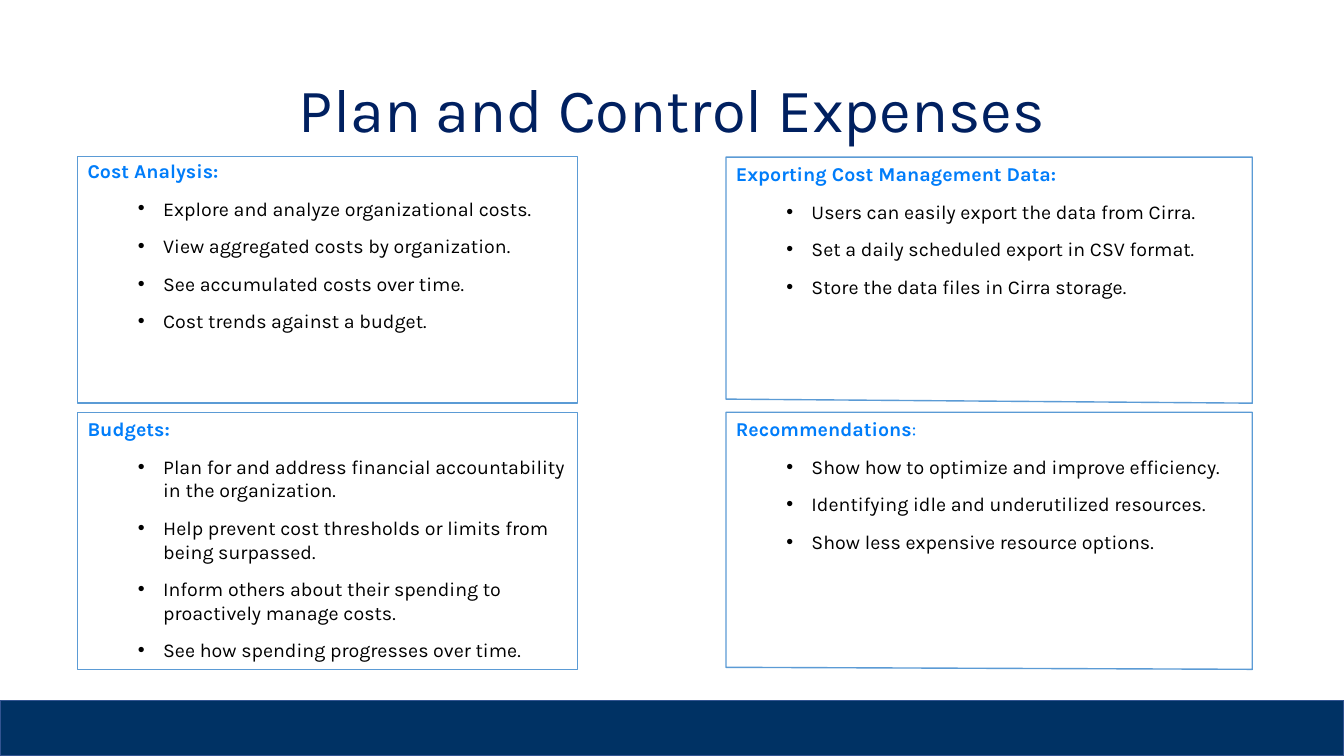
from pptx import Presentation
from pptx.dml.color import RGBColor as RGB
from pptx.enum.shapes import MSO_SHAPE as SHAPE
from pptx.enum.text import MSO_ANCHOR as ANCHOR, PP_ALIGN as ALIGN
from pptx.oxml.ns import qn
from pptx.util import Inches, Pt
from lxml.etree import SubElement

THEME = dict(
    font="Karla", title=44, body=14,
    navy="002060", band="003264", rim="325491",
    head="007DFA", ink="000000", edge="5B9BD5", paper="FFFFFF",
)

deck = Presentation()
deck.slide_width, deck.slide_height = Inches(13.33), Inches(7.5)
slide = deck.slides.add_slide(deck.slide_layouts[6])
shapes = slide.shapes


def write(frame, text, size=THEME["body"], color="ink", bold=False,
          bullet=False, align=ALIGN.LEFT, lead=None, tail=""):
    """Fill the first empty paragraph or add one; tail is never bold."""
    first = not frame.paragraphs[0].runs
    para = frame.paragraphs[0] if first else frame.add_paragraph()
    if bullet:
        props = para._p.get_or_add_pPr()
        props.set("marL", str(Inches(0.75)))
        props.set("indent", str(Inches(-0.25)))
        SubElement(props, qn("a:buFont"), typeface="Arial")
        SubElement(props, qn("a:buChar"), char="•")
        para.level = 1
    para.alignment = align
    para.line_spacing = lead
    if not first:
        para.space_before = Pt(10)
    for part, heavy in ((text, bold), (tail, False)):
        if part:
            run = para.add_run()
            run.text = part
            run.font.name, run.font.size = THEME["font"], Pt(size)
            run.font.bold = heavy
            run.font.color.rgb = RGB.from_string(THEME[color])


def paint(shape, fill, line):
    shape.shadow.inherit = False
    shape.fill.solid()
    shape.fill.fore_color.rgb = RGB.from_string(THEME[fill])
    shape.line.color.rgb = RGB.from_string(THEME[line])
    shape.line.width = Pt(1)


# Footer band
band = shapes.add_shape(SHAPE.RECTANGLE, 0, Inches(6.95),
                        deck.slide_width, Inches(0.55))
paint(band, "band", "rim")

# Title
title = shapes.add_textbox(Inches(0.92), Inches(0.39), Inches(11.5), Inches(1.45))
title.text_frame.word_wrap = True
title.text_frame.vertical_anchor = ANCHOR.MIDDLE
write(title.text_frame, "Plan and Control Expenses", size=THEME["title"],
      color="navy", align=ALIGN.CENTER, lead=0.9)

# Panels: column, top, height, rise of the lower left corner, heading, points
COLS = ((0.77, 4.96), (7.2, 5.22))
PANELS = (
    (0, 1.55, 2.45, 0, "Cost Analysis:", "", 0.9, (
        "Explore and analyze organizational costs.",
        "View aggregated costs by organization.",
        "See accumulated costs over time.",
        "Cost trends against a budget.")),
    (1, 1.56, 2.44, 0.04, "Exporting Cost Management Data:", "", None, (
        "Users can easily export the data from Cirra.",
        "Set a daily scheduled export in CSV format.",
        "Store the data files in Cirra storage.")),
    (0, 4.09, 2.55, 0, "Budgets:", "", None, (
        "Plan for and address financial accountability in the organization.",
        "Help prevent cost thresholds or limits from being surpassed.",
        "Inform others about their spending to proactively manage costs.",
        "See how spending progresses over time.")),
    (1, 4.09, 2.55, 0.02, "Recommendations", ":", None, (
        "Show how to optimize and improve efficiency.",
        "Identifying idle and underutilized resources.",
        "Show less expensive resource options.")),
)
for col, top, high, rise, head, tail, lead, points in PANELS:
    left, wide = COLS[col]
    if rise:
        right, base = left + wide, top + high
        pen = shapes.build_freeform(Inches(left), Inches(top))
        pen.add_line_segments([(Inches(x), Inches(y)) for x, y in (
            (right, top), (right, base), (left, base - rise))], close=True)
        panel = pen.convert_to_shape()
    else:
        panel = shapes.add_shape(SHAPE.RECTANGLE, Inches(left), Inches(top),
                                 Inches(wide), Inches(high))
    paint(panel, "paper", "edge")
    frame = panel.text_frame
    frame.word_wrap = True
    frame.vertical_anchor = ANCHOR.TOP
    write(frame, head, color="head", bold=True, lead=lead, tail=tail)
    for point in points:
        write(frame, point, bullet=True)

deck.save("out.pptx")
